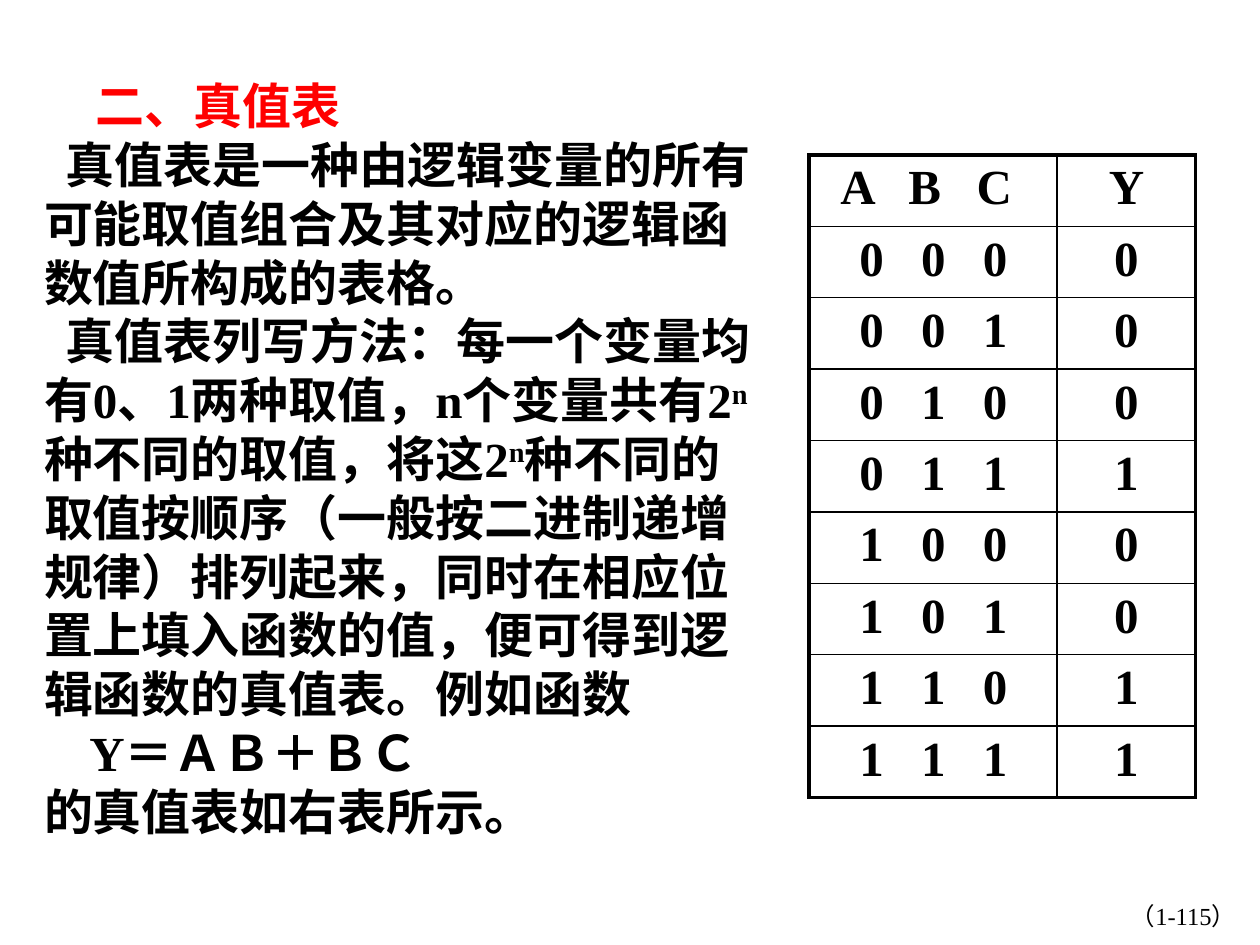
from lxml import etree
from pptx import Presentation
from pptx.dml.color import RGBColor
from pptx.enum.text import MSO_ANCHOR, MSO_AUTO_SIZE, PP_ALIGN
from pptx.oxml.ns import qn
from pptx.util import Inches, Pt

LEFT, CENTER, RIGHT = PP_ALIGN.LEFT, PP_ALIGN.CENTER, PP_ALIGN.RIGHT
TOP = MSO_ANCHOR.TOP
FIXED = MSO_AUTO_SIZE.NONE
SERIF, SANS = "Times New Roman", "Noto Sans CJK SC"
BLACK, RED = "000000", "FF0000"


def add_text(para, text, font=SERIF, size=28, color=BLACK, bold=True, raised=False):
    span = para.add_run()
    span.text = text
    span.font.size = Pt(size)
    span.font.bold = bold
    span.font.color.rgb = RGBColor.from_string(color)
    span.font.name = font
    properties = span._r.get_or_add_rPr()
    etree.SubElement(properties, qn("a:ea"), typeface=SANS)
    if raised:
        properties.set("baseline", "30000")


def add_border(cell, side, width):
    line = etree.SubElement(cell._tc.get_or_add_tcPr(), qn(f"a:ln{side}"), w=str(Pt(width)))
    fill = etree.SubElement(line, qn("a:solidFill"))
    etree.SubElement(fill, qn("a:srgbClr"), val=BLACK)


deck = Presentation()
deck.slide_width, deck.slide_height = Inches(10), Inches(7.5)
page = deck.slides.add_slide(deck.slide_layouts[5])

title = page.shapes.title
title.left, title.top = Inches(0.35), Inches(0.55)
title.width, title.height = Inches(5.67), Inches(0.57)
body = page.shapes.add_textbox(Inches(0.35), Inches(1.02), Inches(5.67), Inches(5.7))
for box in (title, body):
    frame = box.text_frame
    frame.word_wrap = True
    frame.auto_size = FIXED
    frame.vertical_anchor = TOP
    frame.margin_left = frame.margin_right = 0
    frame.margin_top = frame.margin_bottom = Inches(0.05)

heading = title.text_frame.paragraphs[0]
heading.alignment = LEFT
heading.line_spacing = Pt(33.6)
heading._p.get_or_add_pPr().set("indent", str(Inches(0.41)))
add_text(heading, "二、真值表", font=SANS, color=RED)

paragraphs = [
    (0.17, [("真值表是一种由逻辑变量的所有可能取值组合及其对应的逻辑函数值所构成的表格。", SANS, False)]),
    (0.17, [
        ("真值表列写方法：每一个变量均有", SANS, False),
        ("0、1", SERIF, False),
        ("两种取值，", SANS, False),
        ("n", SERIF, False),
        ("个变量共有", SANS, False),
        ("2", SERIF, False),
        ("n", SERIF, True),
        ("种不同的取值，将这", SANS, False),
        ("2", SERIF, False),
        ("n", SERIF, True),
        ("种不同的取值按顺序（一般按二进制递增规律）排列起来，同时在相应位置上填入"
         "函数的值，便可得到逻辑函数的真值表。例如函数", SANS, False),
    ]),
    (0.36, [("Y＝ＡＢ＋ＢＣ", SERIF, False)]),
    (0, [("的真值表如右表所示。", SANS, False)]),
]
for number, (indent, spans) in enumerate(paragraphs):
    para = body.text_frame.paragraphs[0] if number == 0 else body.text_frame.add_paragraph()
    para.line_spacing = Pt(33.6)
    para._p.get_or_add_pPr().set("indent", str(Inches(indent)))
    for text, font, raised in spans:
        add_text(para, text, font=font, raised=raised)

rows = [("A\tB\tC", "Y")]
for value in range(8):
    a, b, c = value >> 2, value >> 1 & 1, value & 1
    rows.append((f"{a}\t{b}\t{c}", str(a & b | b & c)))

table = page.shapes.add_table(len(rows), 2, Inches(6.42), Inches(1.23), Inches(3.07), Inches(5.1)).table
table.first_row = table.horz_banding = False
table.columns[0].width, table.columns[1].width = Inches(1.97), Inches(1.1)
last = len(rows) - 1
for row, texts in enumerate(rows):
    for column, text in enumerate(texts):
        cell = table.cell(row, column)
        thick = {"L": column == 0, "R": column == 1, "T": row == 0, "B": row == last}
        for side, outer in thick.items():
            add_border(cell, side, 2.25 if outer else 1)
        cell.fill.background()
        para = cell.text_frame.paragraphs[0]
        if column == 0:
            start, step = (0.25, 0.54) if row == 0 else (0.4, 0.49)
            cell.margin_left = Inches(start)
            para.alignment = LEFT
            stops = etree.SubElement(para._p.get_or_add_pPr(), qn("a:tabLst"))
            for count in (1, 2):
                etree.SubElement(stops, qn("a:tab"), pos=str(Inches(step * count)), algn="l")
        else:
            para.alignment = CENTER
        add_text(para, text)

footer = page.shapes.add_textbox(Inches(7.83), Inches(7.1), Inches(2.08), Inches(0.5))
footer.text_frame.word_wrap = True
para = footer.text_frame.paragraphs[0]
para.alignment = RIGHT
add_text(para, "（1-115）", size=14, bold=False)

deck.save("out.pptx")
